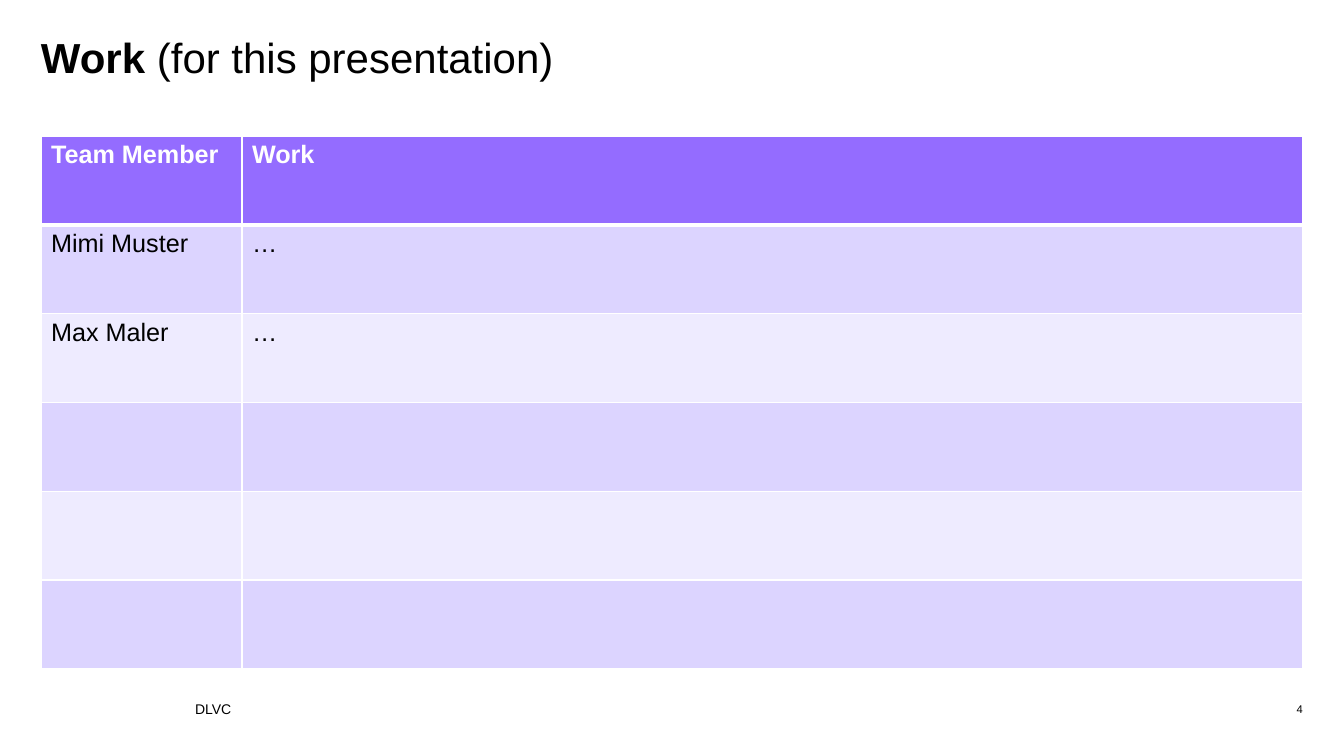
from pptx import Presentation
from pptx.dml.color import RGBColor
from pptx.enum.text import MSO_ANCHOR, PP_ALIGN
from pptx.oxml.ns import qn
from pptx.util import Pt
from lxml import etree

LEFT, RIGHT, TOP, MIDDLE = PP_ALIGN.LEFT, PP_ALIGN.RIGHT, MSO_ANCHOR.TOP, MSO_ANCHOR.MIDDLE
FONT = "Arial"
BLACK, WHITE = "000000", "FFFFFF"
HEADER_FILL, BANDS = "946CFF", ("DCD4FF", "EEEBFF")

TITLE = [("Work ", True), ("(for this presentation)", False)]
TITLE_BOX = (41, 37, 1262, 99)
ROWS = [
    ("Team Member", "Work"),
    ("Mimi Muster", "…"),
    ("Max Maler", "…"),
    ("", ""),
    ("", ""),
    ("", ""),
]
TABLE_BOX = (41, 136, 1262, 533)
COLUMNS = (201, 1061)
# text, box, size, alignment, side inset, wrap
FOOTERS = [
    ("4", (1162, 697, 141, 24), 8, RIGHT, 0, False),
    ("DLVC", (185, 696, 433, 25), 10, LEFT, 10, True),
]


def px(n):
    return round(n * 914400 / 100.8)


def rgb(color):
    return RGBColor.from_string(color)


def set_font(font, size, color, bold=False):
    font.name, font.size, font.bold = FONT, Pt(size), bold
    font.color.rgb = rgb(color)


def set_insets(tf, side):
    tf.margin_left = tf.margin_right = px(side)
    tf.margin_top = tf.margin_bottom = 0


def add_border(cell, side, width):
    """Draw a white line on one side: L, R, T or B. Call before the fill."""
    ln = etree.SubElement(cell._tc.get_or_add_tcPr(), qn(f"a:ln{side}"), w=str(Pt(width)))
    fill = etree.SubElement(ln, qn("a:solidFill"))
    etree.SubElement(fill, qn("a:srgbClr"), val=WHITE)


def add_title(s):
    title = s.shapes.title
    title.left, title.top, title.width, title.height = map(px, TITLE_BOX)
    tf = title.text_frame
    tf.vertical_anchor = TOP
    set_insets(tf, 0)
    p = tf.paragraphs[0]
    p.alignment, p.line_spacing = LEFT, 0.9
    for text, bold in TITLE:
        r = p.add_run()
        r.text = text
        set_font(r.font, 30, BLACK, bold)


def add_table(s):
    table = s.shapes.add_table(len(ROWS), len(COLUMNS), *map(px, TABLE_BOX)).table
    for column, width in zip(table.columns, COLUMNS):
        column.width = px(width)
    for i, texts in enumerate(ROWS):
        header = i == 0
        widths = {"L": 1, "R": 1, "T": 3 if i == 1 else 1, "B": 3 if header else 1}
        for j, text in enumerate(texts):
            cell = table.cell(i, j)
            for side, width in widths.items():
                add_border(cell, side, width)
            cell.fill.solid()
            cell.fill.fore_color.rgb = rgb(HEADER_FILL if header else BANDS[(i - 1) % 2])
            p = cell.text_frame.paragraphs[0]
            p.text = text
            set_font(p.font, 18, WHITE if header else BLACK, header)


def add_footer(s, text, box, size, align, inset, wrap):
    tf = s.shapes.add_textbox(*map(px, box)).text_frame
    tf.word_wrap, tf.vertical_anchor = wrap, MIDDLE
    set_insets(tf, inset)
    p = tf.paragraphs[0]
    p.text, p.alignment = text, align
    set_font(p.font, size, BLACK)


def main():
    prs = Presentation()
    prs.slide_width, prs.slide_height = px(1344), px(756)
    s = prs.slides.add_slide(prs.slide_layouts[5])
    add_title(s)
    add_table(s)
    for footer in FOOTERS:
        add_footer(s, *footer)
    prs.save("out.pptx")


if __name__ == "__main__":
    main()
